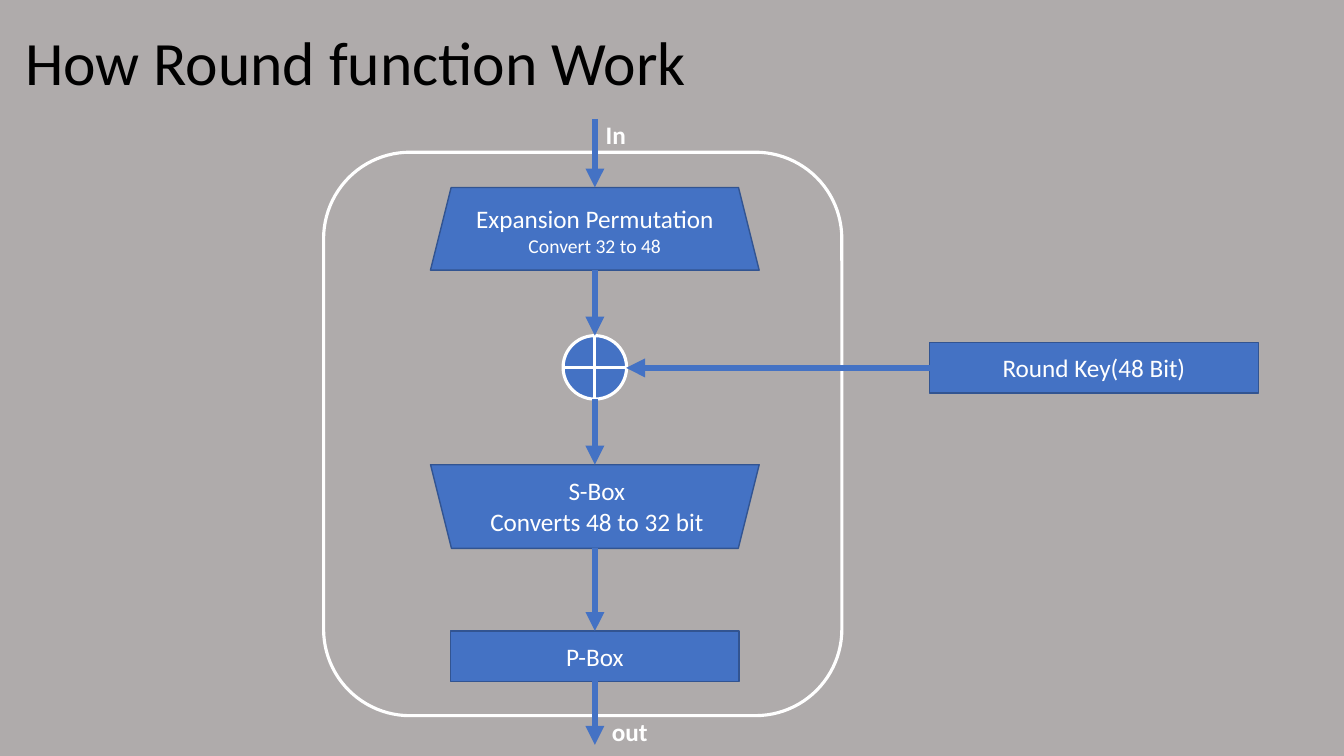
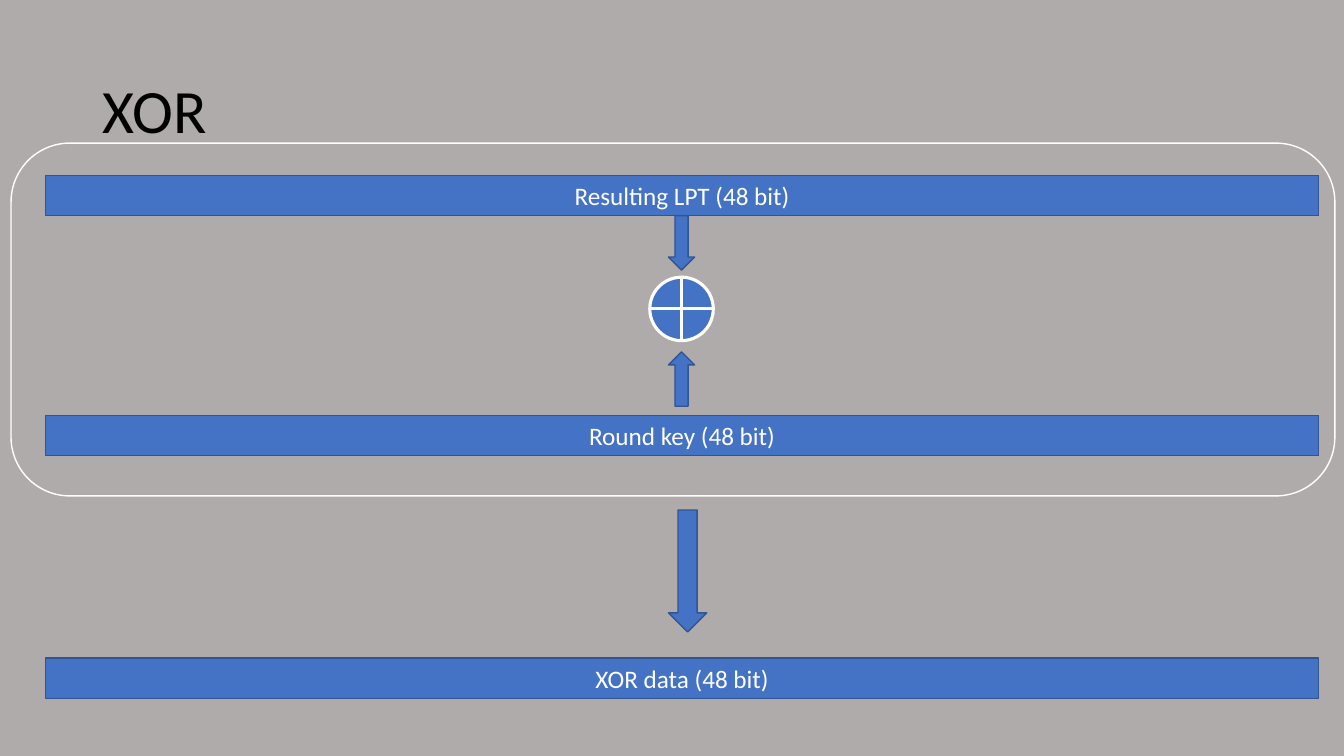
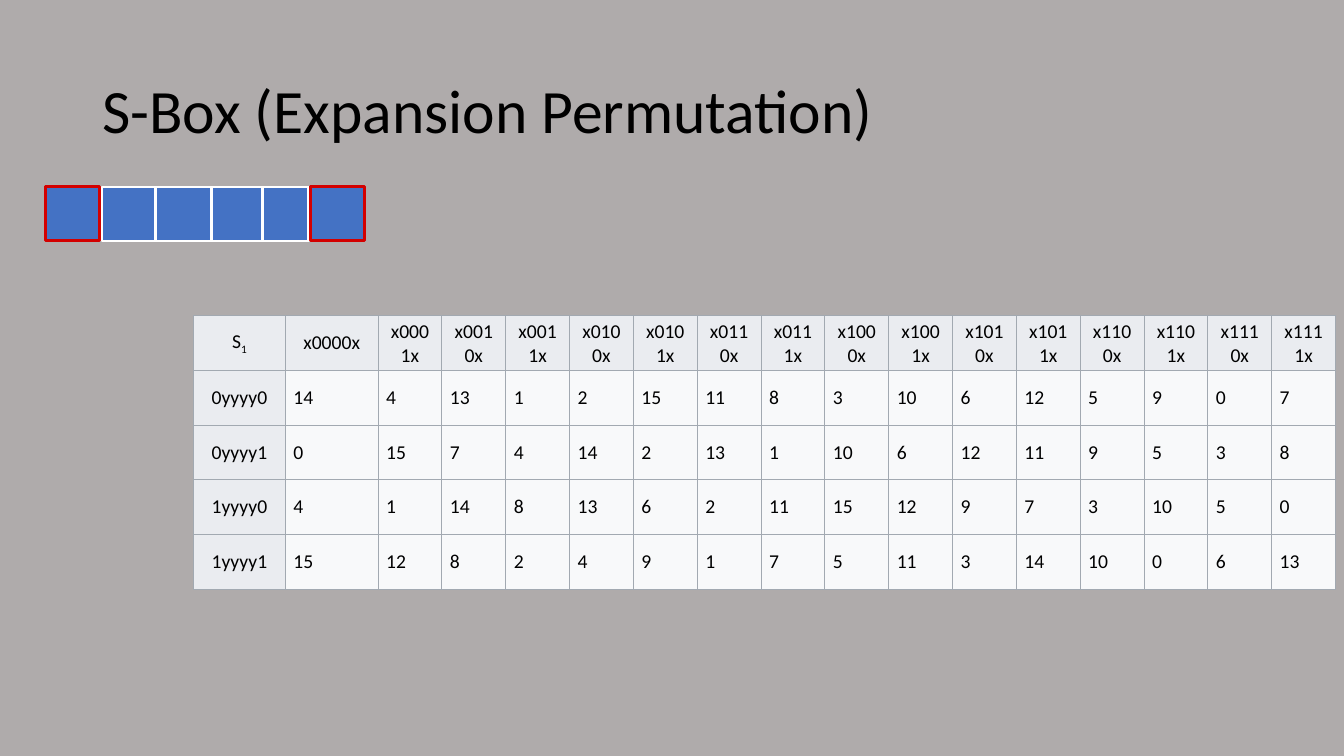
from lxml import etree
from pptx import Presentation
from pptx import util as u
from pptx.dml.color import RGBColor
from pptx.enum import shapes, text
from pptx.oxml import ns

KIND = shapes.MSO_SHAPE
ALIGN = text.PP_ALIGN
MIDDLE = text.MSO_ANCHOR.MIDDLE


def color(hex_code):
    return RGBColor.from_string(hex_code)


def add_child(parent, tag, **attributes):
    return etree.SubElement(parent, ns.qn(tag), attributes)


class Deck:
    FONT = "Calibri"
    BACKGROUND, BLUE, EDGE = "AFABAB", "4472C4", "325491"
    WHITE, BLACK, RED = "FFFFFF", "000000", "D30000"
    HEADER, CELL, GRID = "EAECF0", "F8F9FA", "A2A9B1"

    def __init__(self):
        self.file = Presentation()
        self.file.slide_width = u.Inches(13.33)
        self.file.slide_height = u.Inches(7.5)
        fill = self.file.slide_master.background.fill
        fill.solid()
        fill.fore_color.rgb = color(self.BACKGROUND)
        self.page = None

    def new_page(self, title, left=0.92, top=0.4):
        self.page = self.file.slides.add_slide(self.file.slide_layouts[6])
        box = self.label(title, left, top, 11.5, 1.45, size=44, ink=self.BLACK)
        box.text_frame.vertical_anchor = MIDDLE
        box.text_frame.paragraphs[0].line_spacing = 0.9

    def style_span(self, span, size, ink, bold=False):
        span.font.name = self.FONT
        span.font.size = u.Pt(size)
        span.font.bold = bold
        span.font.color.rgb = color(ink)

    def set_words(self, frame, words, size=18, ink=WHITE, align=ALIGN.LEFT, bold=False):
        frame.text = words
        for para in frame.paragraphs:
            para.alignment = align
            for span in para.runs:
                self.style_span(span, size, ink, bold)

    def label(self, words, left, top, width, height, **style):
        box = self.page.shapes.add_textbox(*map(u.Inches, (left, top, width, height)))
        box.text_frame.word_wrap = True
        self.set_words(box.text_frame, words, **style)
        return box

    def shape(self, kind, left, top, width, height, words="", fill=BLUE, edge=EDGE, weight=1):
        shape = self.page.shapes.add_shape(kind, *map(u.Inches, (left, top, width, height)))
        shape.shadow.inherit = False
        if fill:
            shape.fill.solid()
            shape.fill.fore_color.rgb = color(fill)
        else:
            shape.fill.background()
        shape.line.color.rgb = color(edge)
        shape.line.width = u.Pt(weight)
        if words:
            shape.text_frame.vertical_anchor = MIDDLE
            self.set_words(shape.text_frame, words, align=ALIGN.CENTER)
        return shape

    def frame(self, left, top, width, height, weight):
        return self.shape(KIND.ROUNDED_RECTANGLE, left, top, width, height,
                          fill=None, edge=self.WHITE, weight=weight)

    def xor(self, center, top):
        size = 0.63
        return self.shape(KIND.FLOWCHART_OR, center - size / 2, top, size, size,
                          edge=self.WHITE, weight=2.25)

    def line(self, x1, y1, x2, y2, ink=WHITE, weight=2.25):
        line = self.page.shapes.add_connector(
            shapes.MSO_CONNECTOR.STRAIGHT, *map(u.Inches, (x1, y1, x2, y2)))
        line.line.color.rgb = color(ink)
        line.line.width = u.Pt(weight)
        add_child(line._element.spPr, "a:effectLst")
        return line

    def arrow(self, x1, y1, x2, y2, begin=None, end=None):
        """begin and end are optional (shape, side) pairs."""
        arrow = self.line(x1, y1, x2, y2, ink=self.BLUE, weight=4.5)
        add_child(arrow.line._get_or_add_ln(), "a:tailEnd", type="triangle")
        if begin:
            arrow.begin_connect(*begin)
        if end:
            arrow.end_connect(*end)

    def table(self, rows, left, top, widths, row_height):
        table = self.page.shapes.add_table(
            len(rows), len(widths), u.Inches(left), u.Inches(top),
            u.Inches(sum(widths)), u.Inches(row_height * len(rows))).table
        for column, width in zip(table.columns, widths):
            column.width = u.Inches(width)
        for r, values in enumerate(rows):
            table.rows[r].height = u.Inches(row_height)
            for c, value in enumerate(values):
                self.cell(table.cell(r, c), value, heading=r == 0 or c == 0)
        return table

    def cell(self, cell, value, heading):
        properties = cell._tc.get_or_add_tcPr()
        for side in ("a:lnL", "a:lnR", "a:lnT", "a:lnB"):
            border = add_child(properties, side, w=str(u.Pt(0.75)))
            add_child(add_child(border, "a:solidFill"), "a:srgbClr", val=self.GRID)
        cell.fill.solid()
        cell.fill.fore_color.rgb = color(self.HEADER if heading else self.CELL)
        cell.margin_left = cell.margin_right = u.Inches(0.08)
        cell.margin_top = cell.margin_bottom = u.Inches(0.04)
        cell.vertical_anchor = MIDDLE
        self.set_words(cell.text_frame, str(value), size=14, ink=self.BLACK,
                       align=ALIGN.CENTER if heading else ALIGN.LEFT)


def round_function(deck):
    deck.new_page("How Round function Work", 0.15, -0.08)
    center = 5.9

    # Steps
    expansion = deck.shape(KIND.TRAPEZOID, center - 1.63, 1.86, 3.26, 0.82,
                           "Expansion Permutation\nConvert 32 to 48")
    expansion.text_frame.paragraphs[1].runs[0].font.size = u.Pt(14)
    deck.xor(center, 3.33)
    s_box = deck.shape(KIND.TRAPEZOID, center - 1.63, 4.61, 3.26, 0.83)
    s_box.rotation = 180
    deck.label("S-Box\nConverts 48 to 32 bit", 4.47, 4.67, 2.9, 0.71, align=ALIGN.CENTER)
    p_box = deck.shape(KIND.RECTANGLE, center - 1.43, 6.26, 2.86, 0.5, "P-Box")
    deck.frame(3.21, 1.51, 5.14, 5.59, 2.25)
    round_key = deck.shape(KIND.RECTANGLE, 9.22, 3.4, 3.26, 0.5, "Round Key(48 Bit)")

    # Flow
    deck.arrow(9.22, 3.65, 6.21, 3.65, begin=(round_key, 1))
    deck.arrow(center, 1.18, center, 1.86, end=(expansion, 0))
    deck.arrow(center, 2.68, center, 3.33, begin=(expansion, 2))
    deck.arrow(center, 3.96, center, 4.61)
    deck.arrow(center, 5.44, center, 6.26, end=(p_box, 0))
    deck.arrow(center, 6.76, center, 7.39, begin=(p_box, 2))
    deck.label("In", 5.91, 1.13, 0.47, 0.4, bold=True)
    deck.label("out", 5.97, 7.06, 0.59, 0.4, bold=True)


def xor_step(deck):
    deck.new_page("XOR")
    bars = (("Resulting LPT", 1.74), ("Round key", 4.12), ("XOR data", 6.53))
    for name, top in bars:
        deck.shape(KIND.RECTANGLE, 0.45, top, 12.63, 0.4, f"{name} (48 bit)")
    deck.xor(6.76, 2.75)

    # Block arrows
    deck.shape(KIND.DOWN_ARROW, 6.63, 2.14, 0.26, 0.54)
    deck.shape(KIND.UP_ARROW, 6.63, 3.49, 0.26, 0.54)
    deck.frame(0.11, 1.42, 13.13, 3.5, 1)
    deck.shape(KIND.DOWN_ARROW, 6.63, 5.06, 0.38, 1.21)


def s_box_table(deck):
    deck.new_page("S-Box (Expansion Permutation)")

    # Six bits, the outer two marked
    deck.shape(KIND.RECTANGLE, 1.01, 1.86, 2.05, 0.53, edge=deck.WHITE, weight=1.5)
    for x in (1.54, 2.1, 2.6):
        deck.line(x, 1.86, x, 2.38)
    for left in (3.08, 0.45):
        deck.shape(KIND.RECTANGLE, left, 1.85, 0.54, 0.54, edge=deck.RED, weight=2.25)

    # Substitution table
    values = (
        (14, 4, 13, 1, 2, 15, 11, 8, 3, 10, 6, 12, 5, 9, 0, 7),
        (0, 15, 7, 4, 14, 2, 13, 1, 10, 6, 12, 11, 9, 5, 3, 8),
        (4, 1, 14, 8, 13, 6, 2, 11, 15, 12, 9, 7, 3, 10, 5, 0),
        (15, 12, 8, 2, 4, 9, 1, 7, 5, 11, 3, 14, 10, 0, 6, 13),
    )
    rows = [["S"] + [f"x{inner:04b}x" for inner in range(16)]]
    rows += [[f"{outer // 2}yyyy{outer % 2}", *line] for outer, line in enumerate(values)]
    widths = [0.91, 0.92] + [9.5 / 15] * 15
    table = deck.table(rows, 1.92, 3.13, widths, 2.71 / 5)

    # Subscript of the corner cell
    span = table.cell(0, 0).text_frame.paragraphs[0].add_run()
    span.text = "1"
    deck.style_span(span, 14, deck.BLACK)
    span.font._element.set("baseline", "-25000")


def main():
    deck = Deck()
    round_function(deck)
    xor_step(deck)
    s_box_table(deck)
    deck.file.save("out.pptx")


if __name__ == "__main__":
    main()
